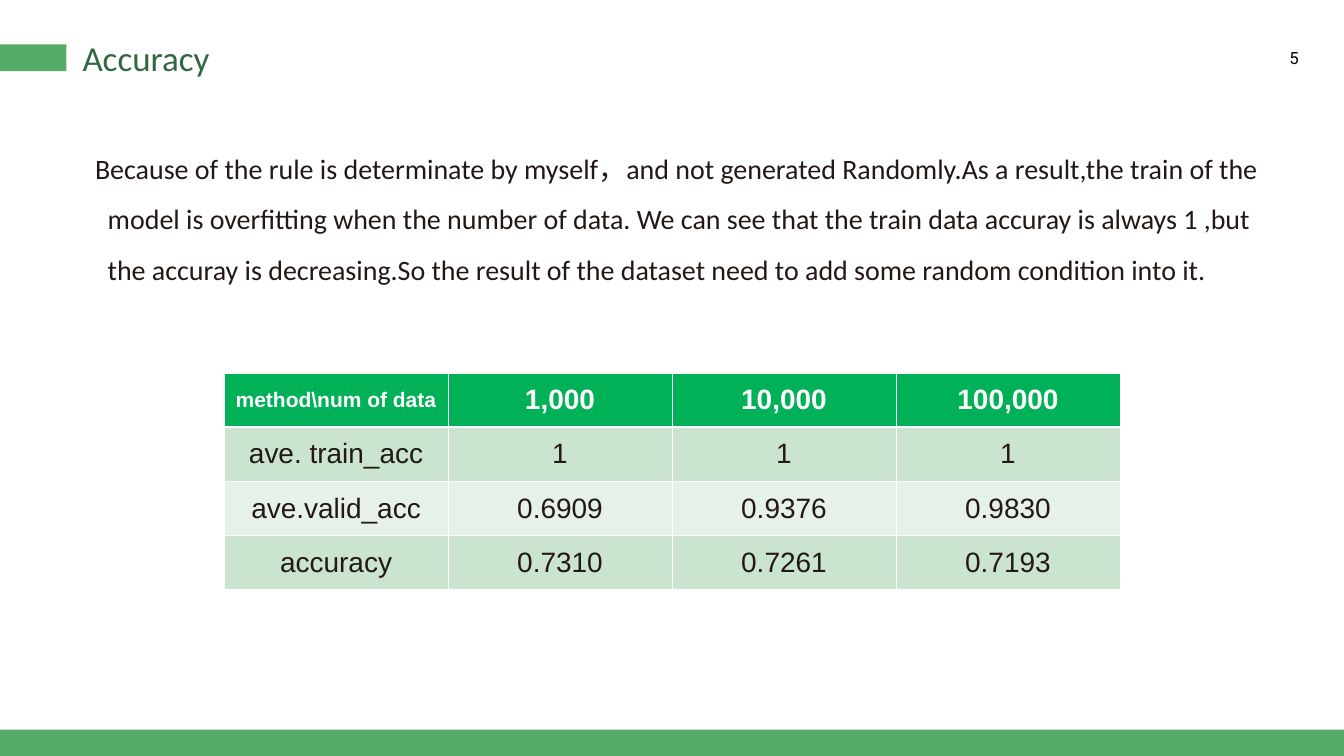
from lxml import etree
from pptx import Presentation
from pptx import util as u
from pptx.dml.color import RGBColor
from pptx.enum import shapes, text
from pptx.oxml.ns import qn

PAGE_WIDTH, PAGE_HEIGHT = 67.74, 38.1
GREEN, DARK_GREEN, HEADER_GREEN = "55AB68", "326841", "00B157"
BANDS = ("CAE4D0", "E6F2E9")
INK, WHITE, BLACK = "221815", "FFFFFF", "000000"

BODY = (
    "Because of the rule is determinate by myself，and not generated Randomly."
    "As a result,the train of the model is overfitting when the number of data. "
    "We can see that the train data accuray is always 1 ,but the accuray is "
    "decreasing.So the result of the dataset need to add some random condition into it."
)
RESULTS = [
    ["method\\num of data", "1,000", "10,000", "100,000"],
    ["ave. train_acc", "1", "1", "1"],
    ["ave.valid_acc", "0.6909", "0.9376", "0.9830"],
    ["accuracy", "0.7310", "0.7261", "0.7193"],
]


def color(value):
    return RGBColor.from_string(value)


def write(frame, content, size, font, ink, bold=False,
          align=text.PP_ALIGN.LEFT, spacing=None):
    para = frame.paragraphs[0]
    para.alignment = align
    para.line_spacing = spacing
    span = para.add_run()
    span.text = content
    span.font.size = u.Pt(size)
    span.font.name = font
    span.font.bold = bold
    span.font.color.rgb = color(ink)
    return para


def add_text(page, box, content, anchor=text.MSO_ANCHOR.TOP, **style):
    frame = page.shapes.add_textbox(*map(u.Cm, box)).text_frame
    frame.word_wrap = True
    frame.vertical_anchor = anchor
    frame.margin_left = frame.margin_right = u.Cm(0.15)
    frame.margin_top = frame.margin_bottom = u.Cm(0.15)
    return write(frame, content, **style)


def add_bar(page, box):
    bar = page.shapes.add_shape(shapes.MSO_SHAPE.RECTANGLE, *map(u.Cm, box))
    bar.shadow.inherit = False
    bar.fill.solid()
    bar.fill.fore_color.rgb = color(GREEN)
    bar.line.fill.background()


def add_header(page, left, top, width, height):
    add_bar(page, (left, top + 0.72, 3.35, 1.35))
    add_text(page, (left + width - 6.17, top + 0.74, 4.04, 1.27), "5",
             size=24, font="Roboto", ink=BLACK, align=text.PP_ALIGN.RIGHT)
    add_text(page, (left + 4.01, top, 57.86, height), "Accuracy",
             anchor=text.MSO_ANCHOR.MIDDLE, size=50, font="Calibri", ink=DARK_GREEN)


def add_body(page, box):
    para = add_text(page, box, BODY, size=40, font="Calibri", ink=INK, spacing=1.5)
    properties = para._p.get_or_add_pPr()
    properties.set("marL", str(u.Cm(1.27)))
    properties.set("indent", str(u.Cm(-0.64)))


def add_borders(cell, bottom):
    properties = cell._tc.get_or_add_tcPr()
    for side, points in (("L", 1), ("R", 1), ("T", 1), ("B", bottom)):
        line = etree.SubElement(properties, qn(f"a:ln{side}"), w=str(u.Pt(points)))
        fill = etree.SubElement(line, qn("a:solidFill"))
        etree.SubElement(fill, qn("a:srgbClr"), val=WHITE)


def add_results(page, left, top, width, height):
    rows, columns = len(RESULTS), len(RESULTS[0])
    table = page.shapes.add_table(
        rows, columns, *map(u.Cm, (left, top, width, height))).table
    for column in table.columns:
        column.width = u.Cm(width / columns)
    for row in table.rows:
        row.height = u.Cm(height / rows)

    for r, values in enumerate(RESULTS):
        is_header = r == 0
        for c, value in enumerate(values):
            cell = table.cell(r, c)
            add_borders(cell, bottom=3 if is_header else 1)
            cell.fill.solid()
            cell.fill.fore_color.rgb = color(HEADER_GREEN if is_header else BANDS[(r - 1) % 2])
            cell.vertical_anchor = text.MSO_ANCHOR.MIDDLE
            write(cell.text_frame, value, size=30 if is_header and c == 0 else 40,
                  font="Arial", ink=WHITE if is_header else INK, bold=is_header,
                  align=text.PP_ALIGN.CENTER)


def main():
    deck = Presentation()
    deck.slide_width, deck.slide_height = u.Cm(PAGE_WIDTH), u.Cm(PAGE_HEIGHT)
    page = deck.slides.add_slide(deck.slide_layouts[6])
    add_bar(page, (0, 36.77, PAGE_WIDTH, 1.33))
    add_header(page, 0, 1.52, PAGE_WIDTH, 2.74)
    add_body(page, (4.01, 6.63, 61.09, 25.15))
    table_width = 45.16
    add_results(page, (PAGE_WIDTH - table_width) / 2, 18.8, table_width, 10.92)
    deck.save("out.pptx")


if __name__ == "__main__":
    main()
